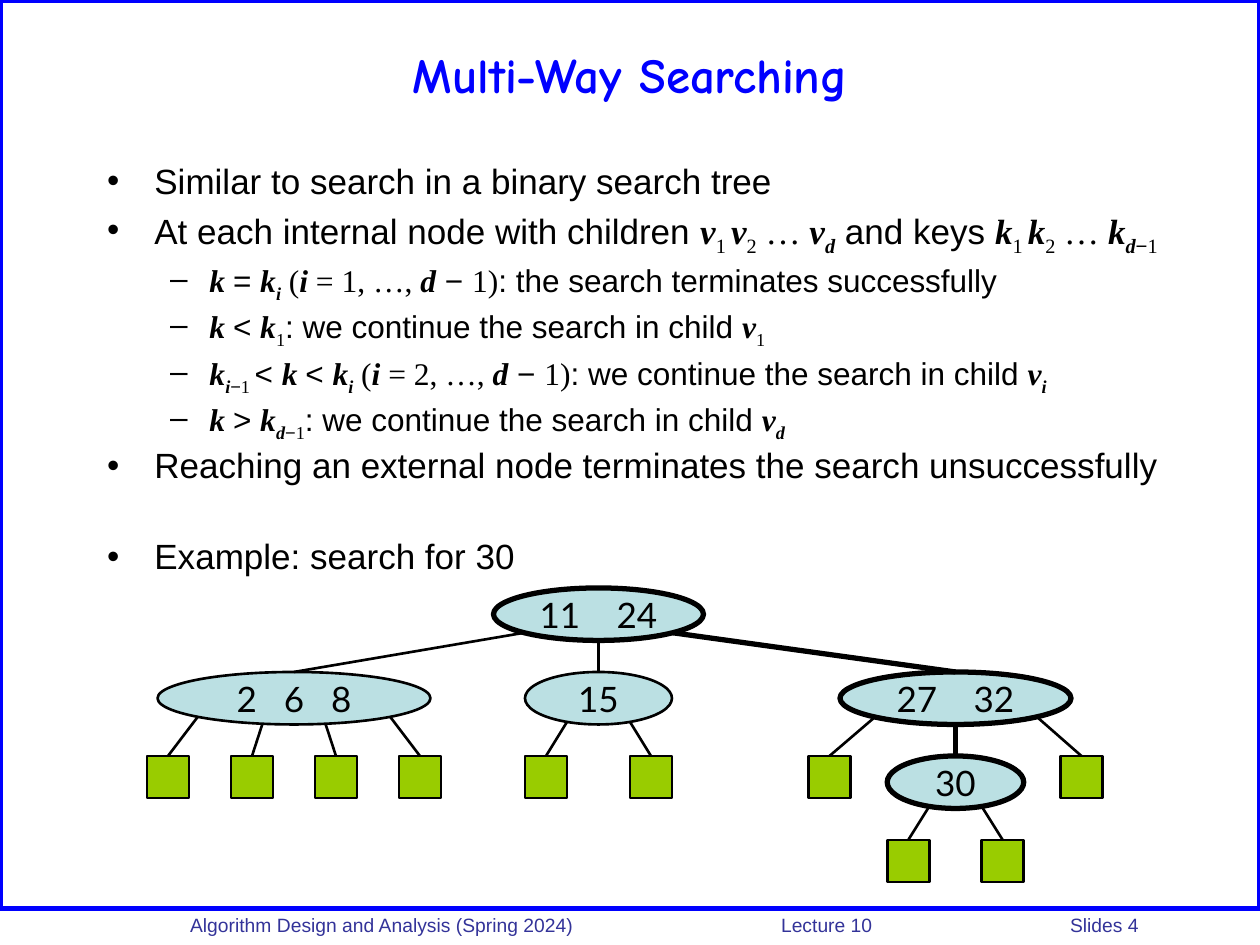
from dataclasses import dataclass
from math import sqrt
from typing import NamedTuple

from lxml.etree import SubElement
from pptx import Presentation
from pptx.dml.color import RGBColor
from pptx.enum.shapes import MSO_CONNECTOR, MSO_SHAPE
from pptx.enum.text import MSO_ANCHOR, MSO_AUTO_SIZE, PP_ALIGN
from pptx.oxml.ns import qn
from pptx.util import Pt

TOP, PITCH = 336, 48
HIGH, LEAF = 30, 24
DIGIT = 11.6
INNER = sqrt(0.5)
BLACK, BLUE = "000000", "0000FF"


class Look(NamedTuple):
    face: str
    strong: bool = False
    sub: bool = False


SANS = Look("Arial")
SERIF = Look("Times New Roman")
VAR = Look("Times New Roman", strong=True)
LOW = Look("Times New Roman", sub=True)
INDEX = Look("Times New Roman", strong=True, sub=True)
MINUS = Look("Arial", sub=True)


@dataclass
class Item:
    level: int
    bits: list[tuple[str, Look]]
    before: float = 5


@dataclass
class Node:
    left: float
    foot: float = 0
    width: float = LEAF
    keys: tuple[str, ...] = ()
    step: float = 0
    bold: bool = False
    kids: tuple["Node", ...] = ()


ITEMS = [
    Item(0, [("Similar to search in a binary search tree", SANS)], 0),
    Item(0, [("At each internal node with children ", SANS), ("v", VAR), ("1 ", LOW),
             ("v", VAR), ("2", LOW), (" … ", SERIF), ("v", VAR), ("d", INDEX),
             (" and keys ", SANS), ("k", VAR), ("1 ", LOW), ("k", VAR), ("2", LOW),
             (" … ", SERIF), ("k", VAR), ("d", INDEX), ("−", MINUS), ("1", LOW)]),
    Item(1, [("k ", VAR), ("= ", SANS), ("k", VAR), ("i", INDEX), (" (", SERIF),
             ("i", VAR), (" = 1, …, ", SERIF), ("d", VAR), (" − ", SANS),
             ("1)", SERIF), (": the search terminates successfully", SANS)], 4.5),
    Item(1, [("k ", VAR), ("< ", SANS), ("k", VAR), ("1", LOW),
             (": we continue the search in child ", SANS), ("v", VAR), ("1", LOW)], 4.5),
    Item(1, [("k", VAR), ("i", INDEX), ("−", MINUS), ("1 ", LOW), ("< ", SANS),
             ("k ", VAR), ("< ", SANS), ("k", VAR), ("i", INDEX), (" (", SERIF),
             ("i", VAR), (" = 2, …, ", SERIF), ("d", VAR), (" − ", SANS),
             ("1)", SERIF), (": we continue the search in child ", SANS),
             ("v", VAR), ("i", INDEX)], 4.5),
    Item(1, [("k ", VAR), ("> ", SANS), ("k", VAR), ("d", INDEX), ("−", MINUS),
             ("1", LOW), (": we continue the search in child ", SANS),
             ("v", VAR), ("d", INDEX)], 4.5),
    Item(0, [("Reaching an external node terminates the search unsuccessfully", SANS)]),
    Item(0, [("Example: search for 30", SANS)], 30.7),
]

TREE = Node(282, 0, 120, ("11", "24"), 44, True, (
    Node(90, 299.5, 156, ("2", "6", "8"), 27, False,
         tuple(Node(84 + 48 * i, foot) for i, foot in enumerate((113, 150, 186, 223)))),
    Node(300, 342, 84, ("15",), kids=(Node(300, 324), Node(360, 360))),
    Node(480, 384.5, 132, ("27", "32"), 44, True, (
        Node(462, 500),
        Node(507, 546, 78, ("30",), bold=True, kids=(Node(507, 531), Node(561, 561))),
        Node(606, 592.5))),
))


def hue(code: str) -> RGBColor:
    return RGBColor.from_string(code)


def place(shape, left: float, top: float, width: float, height: float) -> None:
    shape.left, shape.top = Pt(left), Pt(top)
    shape.width, shape.height = Pt(width), Pt(height)


def style(font, face: str, size: float, code: str) -> None:
    font.name, font.size = face, Pt(size)
    font.color.rgb = hue(code)


def add_tabs(para, stops: list[float]) -> None:
    tabs = SubElement(para._p.get_or_add_pPr(), qn("a:tabLst"))
    for stop in stops:
        SubElement(tabs, qn("a:tab"), pos=str(int(Pt(stop))), algn="l")


def add_box(slide, kind, area: tuple, fill: str, line: str, weight: float):
    box = slide.shapes.add_shape(kind, *map(Pt, area))
    box.shadow.inherit = False
    if fill:
        box.fill.solid()
        box.fill.fore_color.rgb = hue(fill)
    else:
        box.fill.background()
    box.line.color.rgb = hue(line)
    box.line.width = Pt(weight)
    return box


def add_keys(oval, node: Node) -> None:
    count = len(node.keys)
    span = node.step * (count - 1) + DIGIT * len(node.keys[-1])
    frame = oval.text_frame
    frame.text = "\t".join(node.keys)
    frame.word_wrap = True
    frame.vertical_anchor = MSO_ANCHOR.MIDDLE
    frame.margin_left = Pt((node.width * INNER - span) / 2)
    frame.margin_right = frame.margin_top = frame.margin_bottom = 0
    para = frame.paragraphs[0]
    para.alignment = PP_ALIGN.LEFT
    if count > 1:
        add_tabs(para, [node.step * i for i in range(1, count)])
    style(para.runs[0].font, "Lato", 20, BLACK)


def add_edge(slide, node: Node, top: float, kid: Node, end) -> None:
    half = node.width / 2
    shift = (kid.foot - node.left - half) / half
    start = top + HIGH / 2 * (1 + sqrt(1 - shift ** 2))
    edge = slide.shapes.add_connector(
        MSO_CONNECTOR.STRAIGHT, Pt(kid.foot), Pt(start), end.left, end.top)
    edge.end_connect(end, 0)
    edge.line.color.rgb = hue(BLACK)
    edge.line.width = Pt(3 if kid.bold else 1.5)
    SubElement(edge._element.spPr, qn("a:effectLst"))


def add_node(slide, node: Node, row: int = 0):
    top = TOP + PITCH * row
    if not node.keys:
        area = (node.left, top, LEAF, LEAF)
        return add_box(slide, MSO_SHAPE.RECTANGLE, area, "99CC00", BLACK, 1.5)
    area = (node.left, top, node.width, HIGH)
    oval = add_box(slide, MSO_SHAPE.OVAL, area, "BBE0E3", BLACK, 3 if node.bold else 1.5)
    add_keys(oval, node)
    for kid in node.kids:
        add_edge(slide, node, top, kid, add_node(slide, kid, row + 1))
    return oval


def add_title(slide) -> None:
    title = slide.shapes.title
    place(title, 36, 6, 648, 72)
    title.text_frame.text = "Multi-Way Searching"
    title.text_frame.vertical_anchor = MSO_ANCHOR.MIDDLE
    para = title.text_frame.paragraphs[0]
    para.alignment = PP_ALIGN.CENTER
    font = para.runs[0].font
    style(font, "Comic Neue", 28, BLUE)
    font.bold = True


def add_list(slide) -> None:
    body = slide.placeholders[1]
    place(body, 54, 90, 636, 234)
    frame = body.text_frame
    frame.auto_size = MSO_AUTO_SIZE.NONE
    for i, item in enumerate(ITEMS):
        para = frame.add_paragraph() if i else frame.paragraphs[0]
        para.level = item.level
        para.line_spacing = 0.9
        para.space_before = Pt(item.before)
        for text, look in item.bits:
            run = para.add_run()
            run.text = text
            style(run.font, look.face, 18 if item.level else 20, BLACK)
            run.font.bold = run.font.italic = look.strong
            if look.sub:
                run.font._element.set("baseline", "-25000")


def add_foot(slide) -> None:
    box = slide.shapes.add_textbox(Pt(96), Pt(518.4), Pt(624), Pt(18.7))
    frame = box.text_frame
    frame.word_wrap = True
    frame.margin_left = Pt(12.6)
    frame.text = "Algorithm Design and Analysis (Spring 2024)\tLecture 10\tSlides 4"
    para = frame.paragraphs[0]
    add_tabs(para, [337.7, 502.8])
    style(para.runs[0].font, "Arial", 11, "333399")


def main() -> None:
    deck = Presentation()
    deck.slide_width, deck.slide_height = Pt(720), Pt(540)
    slide = deck.slides.add_slide(deck.slide_layouts[1])
    add_box(slide, MSO_SHAPE.RECTANGLE, (0, 0, 720, 519), "", BLUE, 3)
    add_foot(slide)
    add_title(slide)
    add_list(slide)
    add_node(slide, TREE)
    deck.save("out.pptx")


if __name__ == "__main__":
    main()
